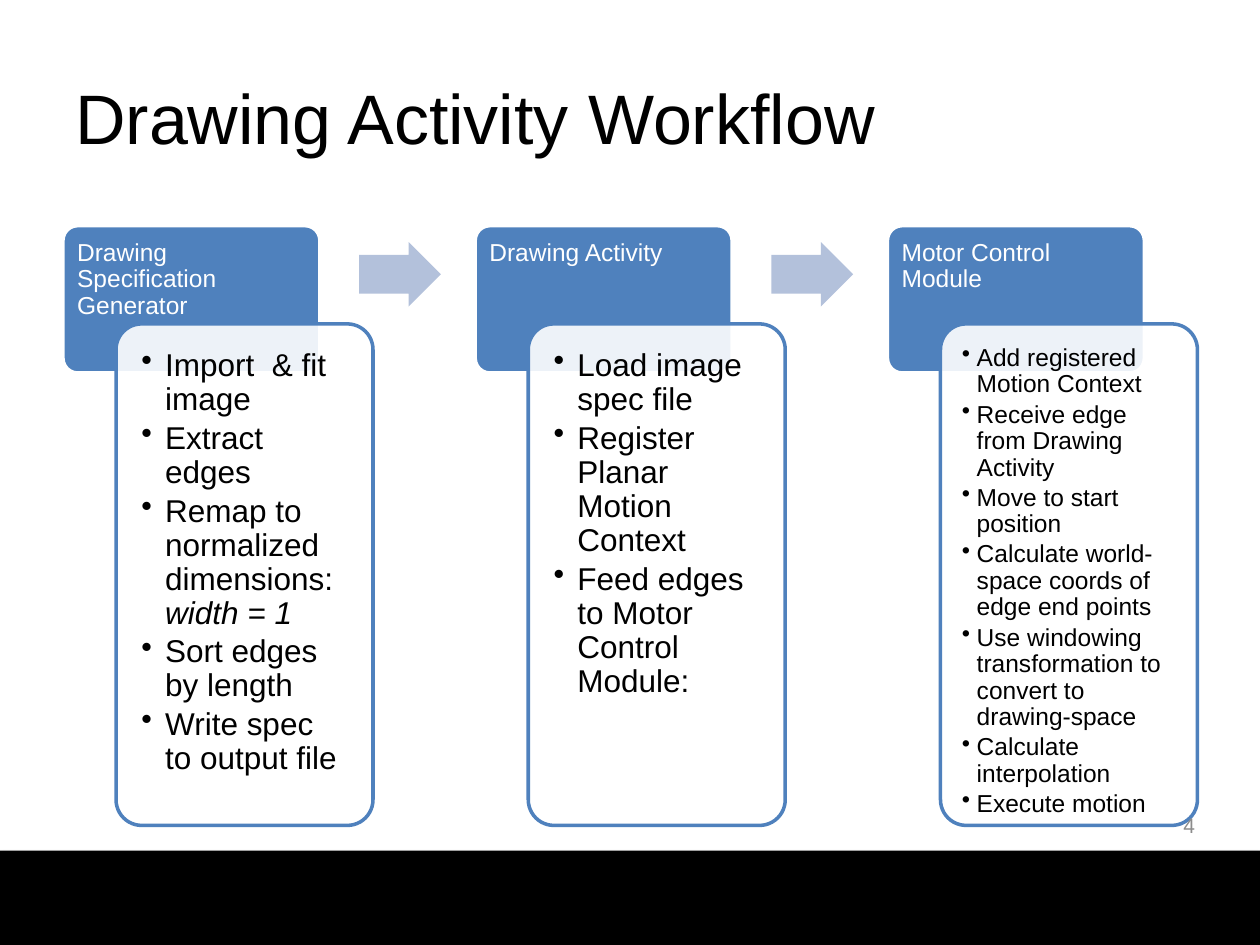
from dataclasses import dataclass

from lxml.etree import SubElement
from pptx import Presentation
from pptx.dml.color import RGBColor
from pptx.enum.shapes import MSO_SHAPE
from pptx.enum.text import MSO_ANCHOR, PP_ALIGN
from pptx.oxml.ns import qn
from pptx.util import Cm, Pt

TITLE = "Drawing Activity Workflow"
SLIDE_NUMBER = "4"
STAGES = [
    {
        "name": "Drawing Specification Generator",
        "size": 18, "inset": 0.36, "indent": 0.48,
        "steps": [
            ["Import  & fit image"],
            ["Extract edges"],
            ["Remap to normalized dimensions: ", "width = 1"],
            ["Sort edges by length"],
            ["Write spec to output file"],
        ],
    },
    {
        "name": "Drawing Activity",
        "size": 18, "inset": 0.36, "indent": 0.48,
        "steps": [
            ["Load image spec file"],
            ["Register Planar Motion Context"],
            ["Feed edges to Motor Control Module:"],
        ],
    },
    {
        "name": "Motor Control Module",
        "size": 14, "inset": 0.28, "indent": 0.3,
        "steps": [
            ["Add registered Motion Context"],
            ["Receive edge from Drawing Activity"],
            ["Move to start position"],
            ["Calculate world-space coords of edge end points"],
            ["Use windowing transformation to convert to drawing-space"],
            ["Calculate interpolation"],
            ["Execute motion"],
        ],
    },
]


@dataclass(frozen=True)
class Theme:
    font: str = "Arial"
    black: str = "000000"
    white: str = "FFFFFF"
    blue: str = "4F81BD"
    arrow: str = "B3C1DB"
    grey: str = "8C8C8C"
    title_size: int = 40
    name_size: int = 14
    number_size: int = 12
    line_width: int = 2


THEME = Theme()
LEFT, PITCH, CARD_WIDTH = 1.27, 8.31, 5.18
HEADER_TOP, HEADER_HEIGHT = 4.55, 2.97
BODY_OFFSET, BODY_TOP, BODY_HEIGHT = 1.07, 6.53, 10.11
ARROW_OFFSET, ARROW_TOP, ARROW_WIDTH, ARROW_HEIGHT = 5.97, 4.88, 1.65, 1.3


def add_block(slide, kind, box, fill, line=None, adjustments=()):
    shape = slide.shapes.add_shape(kind, *map(Cm, box))
    shape.shadow.inherit = False
    shape.fill.solid()
    shape.fill.fore_color.rgb = RGBColor.from_string(fill)
    if line:
        shape.line.color.rgb = RGBColor.from_string(line)
        shape.line.width = Pt(THEME.line_width)
    else:
        shape.line.fill.background()
    for index, value in enumerate(adjustments):
        shape.adjustments[index] = value
    return shape


def set_frame(shape, insets, anchor=MSO_ANCHOR.TOP):
    frame = shape.text_frame
    frame.word_wrap = True
    frame.vertical_anchor = anchor
    frame.margin_left, frame.margin_top, frame.margin_right, frame.margin_bottom = map(Cm, insets)
    return frame


def format_runs(paragraph, size, color, align=PP_ALIGN.LEFT):
    paragraph.alignment = align
    for run in paragraph.runs:
        run.font.name = THEME.font
        run.font.size = Pt(size)
        run.font.color.rgb = RGBColor.from_string(color)


def add_label(slide, box, text, size, color, align=PP_ALIGN.LEFT):
    label = slide.shapes.add_textbox(*map(Cm, box))
    frame = set_frame(label, (0.25, 0.13, 0.25, 0.13), MSO_ANCHOR.MIDDLE)
    frame.text = text
    format_runs(frame.paragraphs[0], size, color, align)


def add_bullet(paragraph, indent):
    properties = paragraph._p.get_or_add_pPr()
    properties.set("marL", str(Cm(indent)))
    properties.set("indent", str(-Cm(indent)))
    SubElement(properties, qn("a:buChar"), char="•")


def add_footer_bar(slide):
    bar = add_block(slide, MSO_SHAPE.RECTANGLE, (0, 17.15, 25.4, 1.9), THEME.black)
    effects = bar._element.spPr.find(qn("a:effectLst"))
    shadow = SubElement(effects, qn("a:outerShdw"), blurRad=str(Pt(3.1)),
                        dist=str(Pt(1.8)), dir="5400000", rotWithShape="0")
    color = SubElement(shadow, qn("a:srgbClr"), val=THEME.black)
    SubElement(color, qn("a:alpha"), val="35000")


def add_header(slide, left, name):
    header = add_block(slide, MSO_SHAPE.ROUNDED_RECTANGLE,
                       (left, HEADER_TOP, CARD_WIDTH, HEADER_HEIGHT),
                       THEME.blue, THEME.white, [0.1])
    frame = set_frame(header, (0.2, 0.2, 0.2, 0.1))
    frame.text = name
    paragraph = frame.paragraphs[0]
    paragraph.line_spacing = 0.9
    format_runs(paragraph, THEME.name_size, THEME.white)


def add_body(slide, left, stage):
    body = add_block(slide, MSO_SHAPE.ROUNDED_RECTANGLE,
                     (left + BODY_OFFSET, BODY_TOP, CARD_WIDTH, BODY_HEIGHT),
                     THEME.white, THEME.blue, [0.1])
    fill_color = body._element.spPr.find(qn("a:solidFill")).find(qn("a:srgbClr"))
    SubElement(fill_color, qn("a:alpha"), val="90000")
    frame = set_frame(body, [stage["inset"]] * 4)
    for index, (text, *emphasis) in enumerate(stage["steps"]):
        paragraph = frame.add_paragraph() if index else frame.paragraphs[0]
        paragraph.text = text
        for phrase in emphasis:
            run = paragraph.add_run()
            run.text = phrase
            run.font.italic = True
        paragraph.level = 1
        paragraph.line_spacing = 0.9
        paragraph.space_after = Pt(0.15 * stage["size"])
        format_runs(paragraph, stage["size"], THEME.black)
        add_bullet(paragraph, stage["indent"])


def main():
    presentation = Presentation()
    presentation.slide_width, presentation.slide_height = Cm(25.4), Cm(19.05)
    slide = presentation.slides.add_slide(presentation.slide_layouts[6])
    add_footer_bar(slide)
    add_label(slide, (1.27, 0.76, 22.86, 3.18), TITLE, THEME.title_size, THEME.black)
    for index, stage in enumerate(STAGES):
        left = LEFT + index * PITCH
        add_header(slide, left, stage["name"])
        add_body(slide, left, stage)
        if index < len(STAGES) - 1:
            add_block(slide, MSO_SHAPE.RIGHT_ARROW,
                      (left + ARROW_OFFSET, ARROW_TOP, ARROW_WIDTH, ARROW_HEIGHT),
                      THEME.arrow, adjustments=[0.6, 0.5])
    add_label(slide, (18.42, 16.13, 5.92, 1.02), SLIDE_NUMBER,
              THEME.number_size, THEME.grey, PP_ALIGN.RIGHT)
    presentation.save("out.pptx")


if __name__ == "__main__":
    main()
